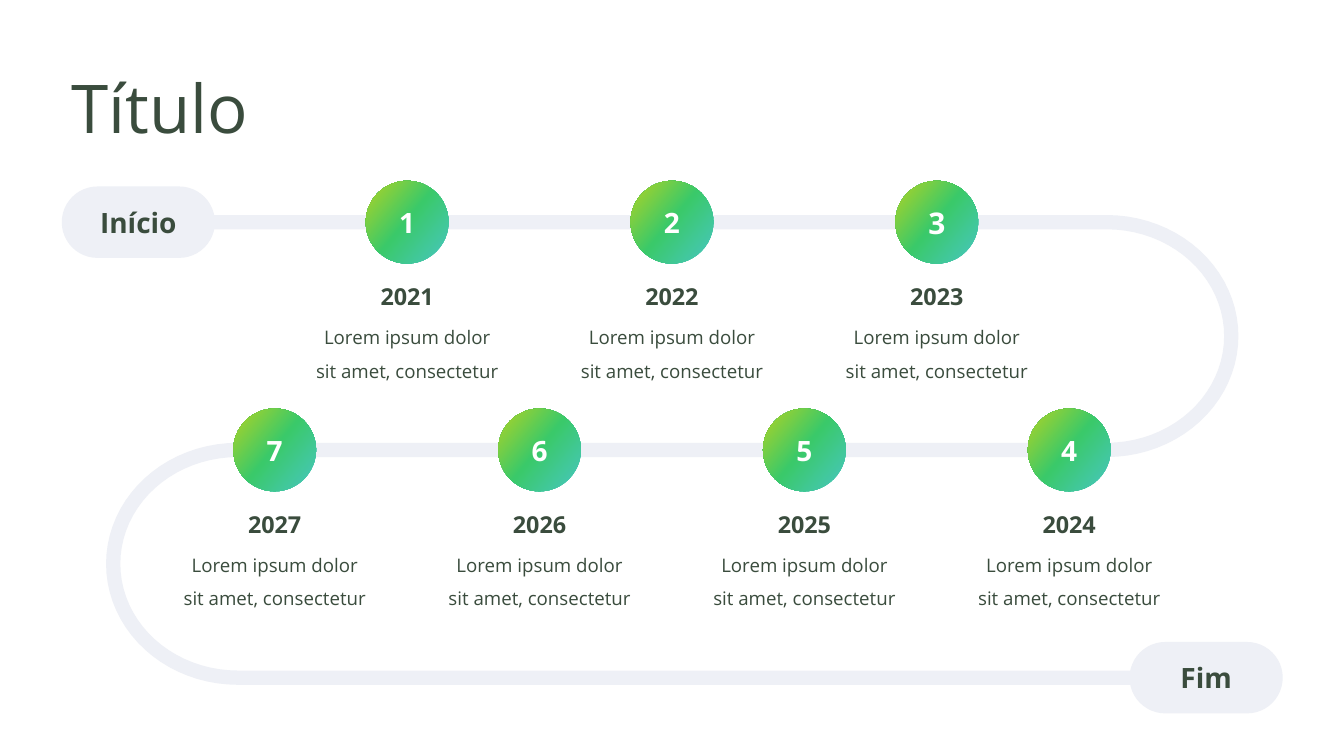
from copy import deepcopy
from math import cos, pi, sin

from pptx import Presentation
from pptx.dml.color import RGBColor
from pptx.enum.shapes import MSO_SHAPE as Shape
from pptx.enum.text import MSO_ANCHOR as Anchor, MSO_AUTO_SIZE as Fit, PP_ALIGN as Align
from pptx.oxml.ns import qn
from pptx.util import Cm, Pt

TITLE = "Título"
START, END = "Início", "Fim"
NOTE = "Lorem ipsum dolor sit amet, consectetur"
# Each row lists its steps from left to right: number, year, number size
ROWS = [
    [("1", "2021", 30), ("2", "2022", 30), ("3", "2023", 32)],
    [("7", "2027", 30), ("6", "2026", 30), ("5", "2025", 30), ("4", "2024", 30)],
]

FONT = "Open Sans"
INK, PALE, WHITE = "3A4C3D", "EEF0F6", "FFFFFF"
GRADIENT = [(0.1, "45C7B1"), (0.51, "3AC96A"), (0.9, "99D132")]

# All lengths are in centimetres
WIDTH, HEIGHT = 50.8, 28.58
TOP, DROP = 8.4, 8.61        # first line of the road, gap to the next
GAP, DISC = 10.01, 3.13      # between steps, and their diameter
ROAD = 0.54                  # thickness of the road
FROM_X, TO_X = 4.95, 45.9    # ends of the road
LEFT, RIGHT = 8.99, 41.83    # where the road starts to bend
BEND = 4.71                  # how far a bend reaches out
PILL_W, PILL_H = 5.79, 2.7


def color(code):
    return RGBColor.from_string(code)


def write(shape, text, size, tint=INK, bold=False, align=Align.CENTER,
          anchor=Anchor.TOP, fit=Fit.SHAPE_TO_FIT_TEXT, spacing=None):
    frame = shape.text_frame
    frame.word_wrap = True
    frame.auto_size = fit
    frame.vertical_anchor = anchor
    para = frame.paragraphs[0]
    para.text = text
    para.alignment = align
    if spacing:
        para.line_spacing = spacing
    font = para.font
    font.name, font.size, font.bold = FONT, Pt(size), bold
    font.color.rgb = color(tint)


def plain(shape):
    """Remove shadow and outline."""
    shape.shadow.inherit = False
    shape.line.fill.background()
    return shape


def centred(slide, kind, x, y, w, h):
    """Add a preset shape around its centre."""
    box = [Cm(v) for v in (x - w / 2, y - h / 2, w, h)]
    return plain(slide.shapes.add_shape(kind, *box))


def edge(shift):
    """Points of one side of the road, moved outward from its middle."""
    points = [(FROM_X, TOP - shift)]
    bends = [(RIGHT, 1, shift), (LEFT, -1, -shift)]
    for turn, (x, side, grow) in enumerate(bends):
        mid = TOP + (turn + 0.5) * DROP
        for step in range(41):
            angle = pi * (step / 40 - 0.5)
            points.append((x + side * (BEND + grow) * cos(angle),
                           mid + (DROP / 2 + grow) * sin(angle)))
    return points + [(TO_X, TOP + 2 * DROP - shift)]


def add_road(slide):
    outline = edge(ROAD / 2) + edge(-ROAD / 2)[::-1]
    first, *rest = [(Cm(x), Cm(y)) for x, y in outline]
    pen = slide.shapes.build_freeform(*first)
    pen.add_line_segments(rest, close=True)
    road = plain(pen.convert_to_shape())
    road.fill.solid()
    road.fill.fore_color.rgb = color(PALE)


def add_pill(slide, text, x, y):
    pill = centred(slide, Shape.ROUNDED_RECTANGLE, x, y, PILL_W, PILL_H)
    pill.adjustments[0] = 0.5
    pill.fill.solid()
    pill.fill.fore_color.rgb = color(PALE)
    write(pill, text, 30, bold=True, anchor=Anchor.MIDDLE, fit=Fit.NONE)


def add_disc(slide, text, size, x, y):
    disc = centred(slide, Shape.OVAL, x, y, DISC, DISC)
    fill = disc.fill
    fill.gradient()
    fill.gradient_angle = 140
    stops = disc._element.spPr.find(qn("a:gradFill")).find(qn("a:gsLst"))
    stops.append(deepcopy(stops[0]))
    for stop, (place, code) in zip(fill.gradient_stops, GRADIENT):
        stop.position = place
        stop.color.rgb = color(code)
    write(disc, text, size, WHITE, bold=True, anchor=Anchor.MIDDLE, fit=Fit.NONE)


def add_label(slide, text, size, x, y, w, h, **style):
    box = slide.shapes.add_textbox(Cm(x - w / 2), Cm(y), Cm(w), Cm(h))
    write(box, text, size, **style)


def main():
    deck = Presentation()
    deck.slide_width, deck.slide_height = Cm(WIDTH), Cm(HEIGHT)
    slide = deck.slides.add_slide(deck.slide_layouts[5])

    title = slide.shapes.title
    title.left, title.top = Cm(2.44), Cm(2.39)
    title.width, title.height = Cm(12.8), Cm(3.33)
    write(title, TITLE, 72, align=Align.LEFT)

    add_road(slide)
    add_pill(slide, START, 5.23, TOP)
    add_pill(slide, END, 45.59, TOP + 2 * DROP)

    for row, steps in enumerate(ROWS):
        y = TOP + row * DROP
        for col, (number, year, size) in enumerate(steps):
            x = WIDTH / 2 + (col - (len(steps) - 1) / 2) * GAP
            add_disc(slide, number, size, x, y)
            add_label(slide, year, 25, x, y + 2.16, 7.72, 1.32, bold=True)
            add_label(slide, NOTE, 20, x, y + 3.37, 7.67, 2.67, spacing=1.5)

    deck.save("out.pptx")


if __name__ == "__main__":
    main()
